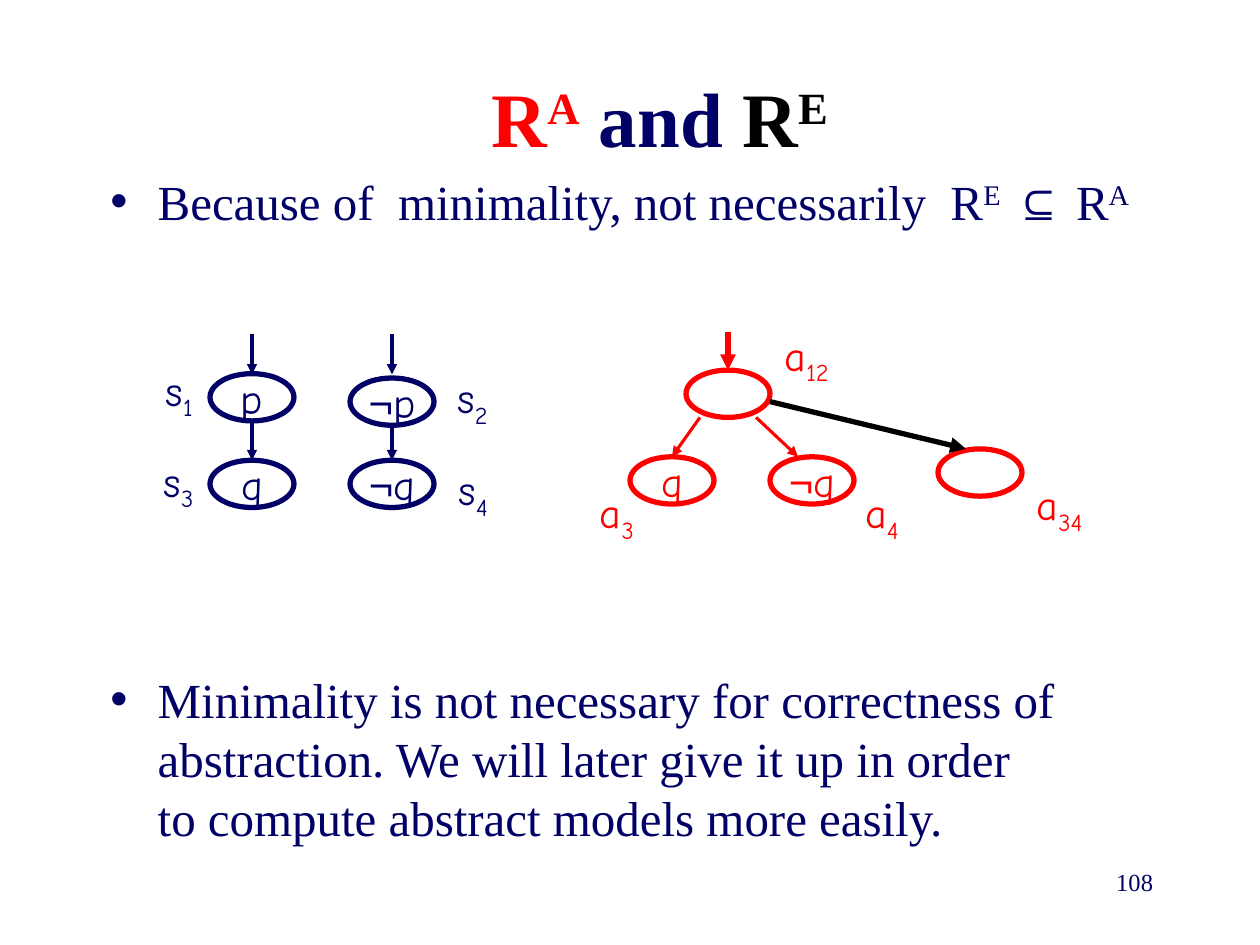
"""Build the slide comparing the abstract relations R^A and R^E."""
from lxml import etree
from pptx import Presentation
from pptx.dml.color import RGBColor
from pptx.enum import shapes, text
from pptx.oxml import ns
from pptx.util import Pt

NAVY = RGBColor(0x00, 0x00, 0x66)
RED = RGBColor(0xFF, 0x00, 0x00)
BLACK = RGBColor(0x00, 0x00, 0x00)
WHITE = RGBColor(0xFF, 0xFF, 0xFF)
SERIF, SANS, HAND = "Times New Roman", "Arial", "Comic Neue"
NODE_W, NODE_H = 48, 27
LABEL_W, LABEL_H = 44, 40


class SlideStyle:
    """Hold the current slide and draw its kinds of element."""

    def __init__(self, slide):
        self.slide = slide

    def runs(self, paragraph, parts, size, color, font):
        """Add (wording, options) parts, breaking lines at each newline."""
        for wording, options in parts:
            for index, line in enumerate(wording.split("\n")):
                if index:
                    paragraph.add_line_break()
                run = paragraph.add_run()
                run.text = line
                run.font.size = Pt(size)
                run.font.name = options.get("font", font)
                run.font.color.rgb = options.get("color", color)
                if "base" in options:
                    run.font._element.set("baseline", str(options["base"] * 1000))

    def title(self, parts, left, top, width, height):
        """Place and fill the title placeholder."""
        heading = self.slide.shapes.title
        heading.left, heading.top = Pt(left), Pt(top)
        heading.width, heading.height = Pt(width), Pt(height)
        heading.text_frame.vertical_anchor = text.MSO_ANCHOR.MIDDLE
        paragraph = heading.text_frame.paragraphs[0]
        paragraph.alignment = text.PP_ALIGN.CENTER
        self.runs(paragraph, parts, 44, NAVY, SERIF)
        for run in paragraph.runs:
            run.font.bold = True

    def box(self, left, top, width, height, wrap=True):
        """Add a text box and return its frame."""
        frame = self.slide.shapes.add_textbox(
            Pt(left), Pt(top), Pt(width), Pt(height)).text_frame
        frame.word_wrap = wrap
        return frame

    def bullets(self, items, left, top, width, height):
        """Add bulleted paragraphs, each with its space before."""
        frame = self.box(left, top, width, height)
        for index, (parts, space) in enumerate(items):
            paragraph = frame.add_paragraph() if index else frame.paragraphs[0]
            paragraph.space_before = Pt(space)
            self.runs(paragraph, parts, 28, NAVY, SERIF)
            properties = paragraph._p.get_or_add_pPr()
            properties.set("marL", str(Pt(27)))
            properties.set("indent", str(-Pt(27)))
            etree.SubElement(properties, ns.qn("a:buFont")).set("typeface", SANS)
            etree.SubElement(properties, ns.qn("a:buChar")).set("char", "•")

    def node(self, left, top, color, parts=()):
        """Add an outlined state."""
        state = self.slide.shapes.add_shape(
            shapes.MSO_SHAPE.OVAL, Pt(left), Pt(top), Pt(NODE_W), Pt(NODE_H))
        state.shadow.inherit = False
        state.fill.solid()
        state.fill.fore_color.rgb = WHITE
        state.line.color.rgb = color
        state.line.width = Pt(3)
        frame = state.text_frame
        frame.word_wrap = False
        frame.vertical_anchor = text.MSO_ANCHOR.MIDDLE
        frame.paragraphs[0].alignment = text.PP_ALIGN.CENTER
        self.runs(frame.paragraphs[0], parts, 24, color, HAND)

    def label(self, letter, index, center, top, color):
        """Add a state name with its subscript."""
        frame = self.box(center - LABEL_W / 2, top, LABEL_W, LABEL_H, wrap=False)
        frame.paragraphs[0].alignment = text.PP_ALIGN.CENTER
        parts = [(letter, {}), (index, {"base": -25})]
        self.runs(frame.paragraphs[0], parts, 24, color, HAND)

    def arrow(self, start, end, color, weight=1.75):
        """Add a straight arrow."""
        edge = self.slide.shapes.add_connector(
            shapes.MSO_CONNECTOR.STRAIGHT, *map(Pt, start + end))
        edge.line.color.rgb = color
        edge.line.width = Pt(weight)
        etree.SubElement(edge.line._get_or_add_ln(), ns.qn("a:tailEnd")).set("type", "triangle")
        etree.SubElement(edge._element.spPr, ns.qn("a:effectLst"))

    def page_number(self, number, left, top, width, height):
        """Add the right-aligned page number."""
        paragraph = self.box(left, top, width, height).paragraphs[0]
        paragraph.alignment = text.PP_ALIGN.RIGHT
        self.runs(paragraph, [(number, {})], 14, NAVY, SERIF)


def main():
    """Draw the slide and save it."""
    deck = Presentation()
    deck.slide_width, deck.slide_height = Pt(720), Pt(540)
    page = SlideStyle(deck.slides.add_slide(deck.slide_layouts[5]))
    raised, negation = {"base": 30}, ("¬", {"font": SANS})

    page.title([("R", {"color": RED}), ("A", {"color": RED, "base": 30}), (" and ", {}),
                ("R", {"color": BLACK}), ("E", {"color": BLACK, "base": 30})],
               88, 48, 578, 37.5)
    minimality = [("Because of  minimality, not necessarily  R", {}), ("E  ", raised),
                  ("⊆", {"font": SANS}), (" R", {}), ("A", raised)]
    correctness = [("Minimality is not necessary for correctness of  abstraction. "
                    "We will later give it up in order\n"
                    "to compute abstract models more easily.", {})]
    page.bullets([(minimality, 7), (correctness, 251)], 56, 94.5, 610, 385)

    for center in (144, 224):
        for top, bottom in ((191, 214), (240.5, 263)):
            page.arrow((center, top), (center, bottom), NAVY)
    page.arrow((416, 189.5), (416, 211.5), RED, 3)
    for start, end in ((400, 384), (432, 456)):
        page.arrow((start, 238.5), (end, 261), RED)

    for left, top, color, parts in (
            (120, 213.5, NAVY, [("p", {})]),
            (200, 216, NAVY, [negation, ("p", {})]),
            (120, 263, NAVY, [("q", {})]),
            (200, 263, NAVY, [negation, ("q", {})]),
            (392, 211.5, RED, []),
            (360, 261, RED, [("q", {})]),
            (440, 261, RED, [negation, ("q", {})]),
            (536, 256.5, RED, [])):
        page.node(left, top, color, parts)
    page.arrow((440, 229.5), (552, 256.5), BLACK, 3)

    for letter, index, center, top, color in (
            ("s", "1", 102.5, 204.5, NAVY), ("s", "2", 270, 209, NAVY),
            ("s", "3", 102, 256.5, NAVY), ("s", "4", 270.5, 261.5, NAVY),
            ("a", "12", 461, 184.5, RED), ("a", "3", 352.5, 274.5, RED),
            ("a", "4", 504, 274.5, RED), ("a", "34", 605.5, 270, RED)):
        page.label(letter, index, center, top, color)

    page.page_number("108", 516, 492, 150, 36)
    deck.save("out.pptx")


if __name__ == "__main__":
    main()
